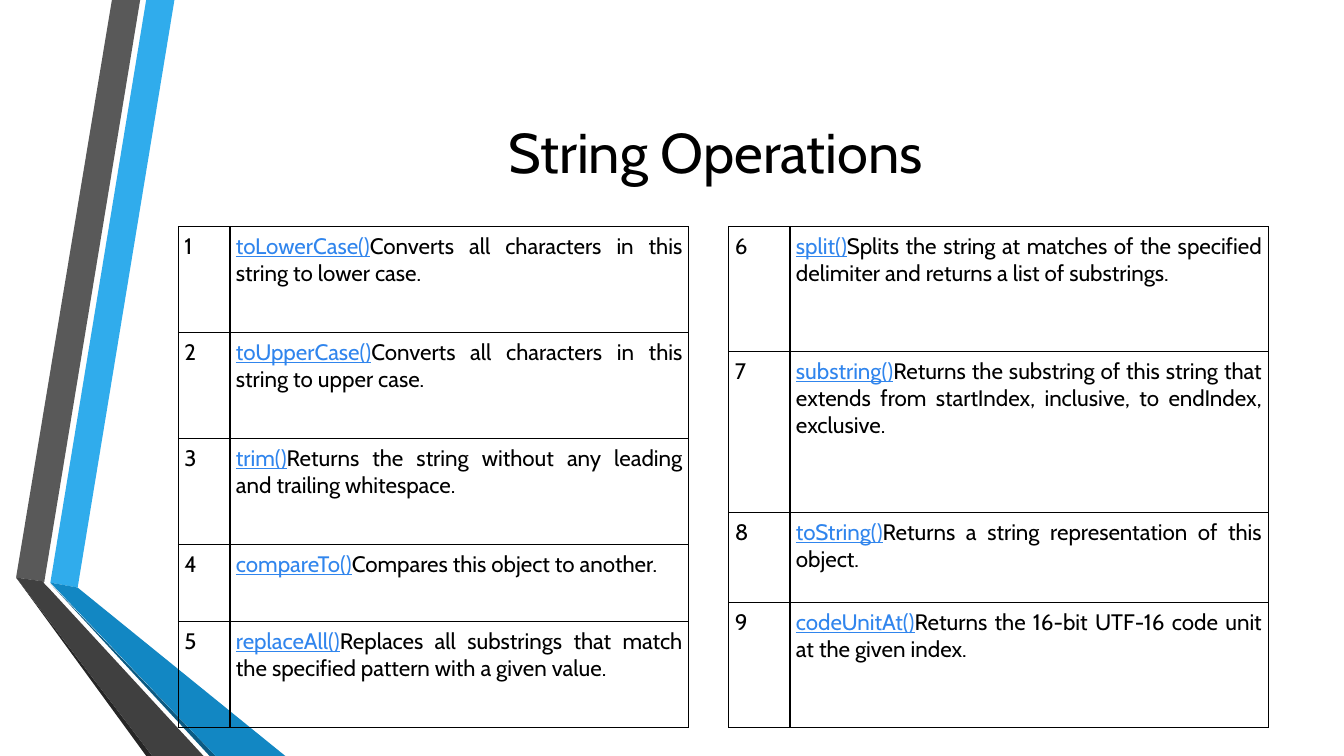
from lxml import etree
from pptx import Presentation, util as u
from pptx.dml.color import RGBColor
from pptx.enum import text
from pptx.oxml.ns import qn

FONT = "Cabin"
WIDTH, HEIGHT = u.Inches(13.333), u.Inches(7.5)
COLORS = {
    "text": "000000", "link": "3085ED", "border": "000000",
    "sky": "30ACEC", "grey": "595959", "grey_edge": "262626",
    "blue_edge": "0C5A82", "blue": "1287C3", "charcoal": "404040",
}
RIBBONS = [
    ("sky", [(3.75, 77.07), (5.78, 77.73), (12.98, 0), (10.88, 0)]),
    ("grey", [(10.43, 0), (8.33, 0), (1.2, 76.4), (3.3, 76.93)]),
    ("grey_edge", [(1.2, 76.4), (10.88, 100), (11.33, 100)]),
    ("blue_edge", [(3.75, 77.2), (15.6, 100), (16.05, 100)]),
    ("blue", [(3.75, 77.07), (16.05, 100), (21.23, 100), (5.78, 77.73)]),
    ("charcoal", [(1.2, 76.4), (11.33, 100), (15.15, 100), (3.6, 77.73),
                  (3.23, 77.07), (3.3, 76.93)]),
]
LEFT_METHODS = [
    ("toLowerCase()", "Converts all characters in this string to lower case."),
    ("toUpperCase()", "Converts all characters in this string to upper case."),
    ("trim()", "Returns the string without any leading and trailing whitespace."),
    ("compareTo()", "Compares this object to another."),
    ("replaceAll()", "Replaces all substrings that match the specified pattern "
                     "with a given value."),
]
RIGHT_METHODS = [
    ("split()", "Splits the string at matches of the specified delimiter and "
                "returns a list of substrings."),
    ("substring()", "Returns the substring of this string that extends from "
                    "startIndex, inclusive, to endIndex, exclusive."),
    ("toString()", "Returns a string representation of this object."),
    ("codeUnitAt()", "Returns the 16-bit UTF-16 code unit at the given index."),
]


def across(share):
    """Turn a percentage of the slide's width into a length."""
    return u.Emu(round(WIDTH * share / 100))


def down(share):
    """Turn a percentage of the slide's height into a length."""
    return u.Emu(round(HEIGHT * share / 100))


def color(name):
    """Look up a palette colour."""
    return RGBColor.from_string(COLORS[name])


def add_text(para, words, size=16, fill="text", underline=False):
    """Append one formatted run to a paragraph."""
    span = para.add_run()
    span.text = words
    span.font.name = FONT
    span.font.size = u.Pt(size)
    span.font.underline = underline
    span.font.color.rgb = color(fill)


def add_ribbon(page, fill, corners):
    """Draw one flat facet of the folded ribbons."""
    points = [(across(x), down(y)) for x, y in corners]
    builder = page.shapes.build_freeform(*points[0])
    builder.add_line_segments(points[1:], close=True)
    ribbon = builder.convert_to_shape()
    ribbon.shadow.inherit = False
    ribbon.fill.solid()
    ribbon.fill.fore_color.rgb = color(fill)
    ribbon.line.fill.background()


def add_title(page, words):
    """Place and fill the title placeholder."""
    title = page.shapes.title
    title.left, title.top = across(12.15), down(10)
    title.width, title.height = across(82.2), down(20)
    frame = title.text_frame
    frame.auto_size = text.MSO_AUTO_SIZE.NONE
    frame.vertical_anchor = text.MSO_ANCHOR.MIDDLE
    para = frame.paragraphs[0]
    para.alignment = text.PP_ALIGN.CENTER
    add_text(para, words, size=40)


def format_cell(cell):
    """Clear a cell's fill, set its margins and outline all four sides."""
    cell.margin_left = cell.margin_right = u.Inches(0.06)
    cell.margin_top = cell.margin_bottom = u.Inches(0.06)
    cell.fill.background()
    properties = cell._tc.get_or_add_tcPr()
    for place, side in enumerate(("lnL", "lnR", "lnT", "lnB")):
        line = etree.Element(qn(f"a:{side}"), w=str(u.Pt(1)))
        solid = etree.SubElement(line, qn("a:solidFill"))
        etree.SubElement(solid, qn("a:srgbClr"), val=COLORS["border"])
        properties.insert(place, line)


def add_methods(page, methods, first, left, columns, rows):
    """Add a numbered table of methods, numbering from first."""
    frame = page.shapes.add_table(
        len(rows), len(columns), across(left), down(30),
        across(sum(columns)), down(sum(rows)))
    table = frame.table
    table.first_row = table.horz_banding = False
    for column, share in zip(table.columns, columns):
        column.width = across(share)
    for row, share in zip(table.rows, rows):
        row.height = down(share)
    for index, (method, meaning) in enumerate(methods):
        number, detail = table.rows[index].cells
        format_cell(number)
        format_cell(detail)
        add_text(number.text_frame.paragraphs[0], str(first + index))
        para = detail.text_frame.paragraphs[0]
        para.alignment = text.PP_ALIGN.JUSTIFY
        add_text(para, method, fill="link", underline=True)
        add_text(para, meaning)


def main():
    """Build and save the slide."""
    deck = Presentation()
    deck.slide_width, deck.slide_height = WIDTH, HEIGHT
    page = deck.slides.add_slide(deck.slide_layouts[5])
    for fill, corners in RIBBONS:
        add_ribbon(page, fill, corners)
    add_title(page, "String Operations")
    add_methods(page, LEFT_METHODS, first=1, left=13.28, columns=(3.83, 34.13),
                rows=(14.02, 14.02, 14.02, 10.19, 14.02))
    add_methods(page, RIGHT_METHODS, first=6, left=54.23, columns=(4.55, 35.58),
                rows=(16.54, 21.27, 11.92, 16.54))
    deck.save("out.pptx")


main()
